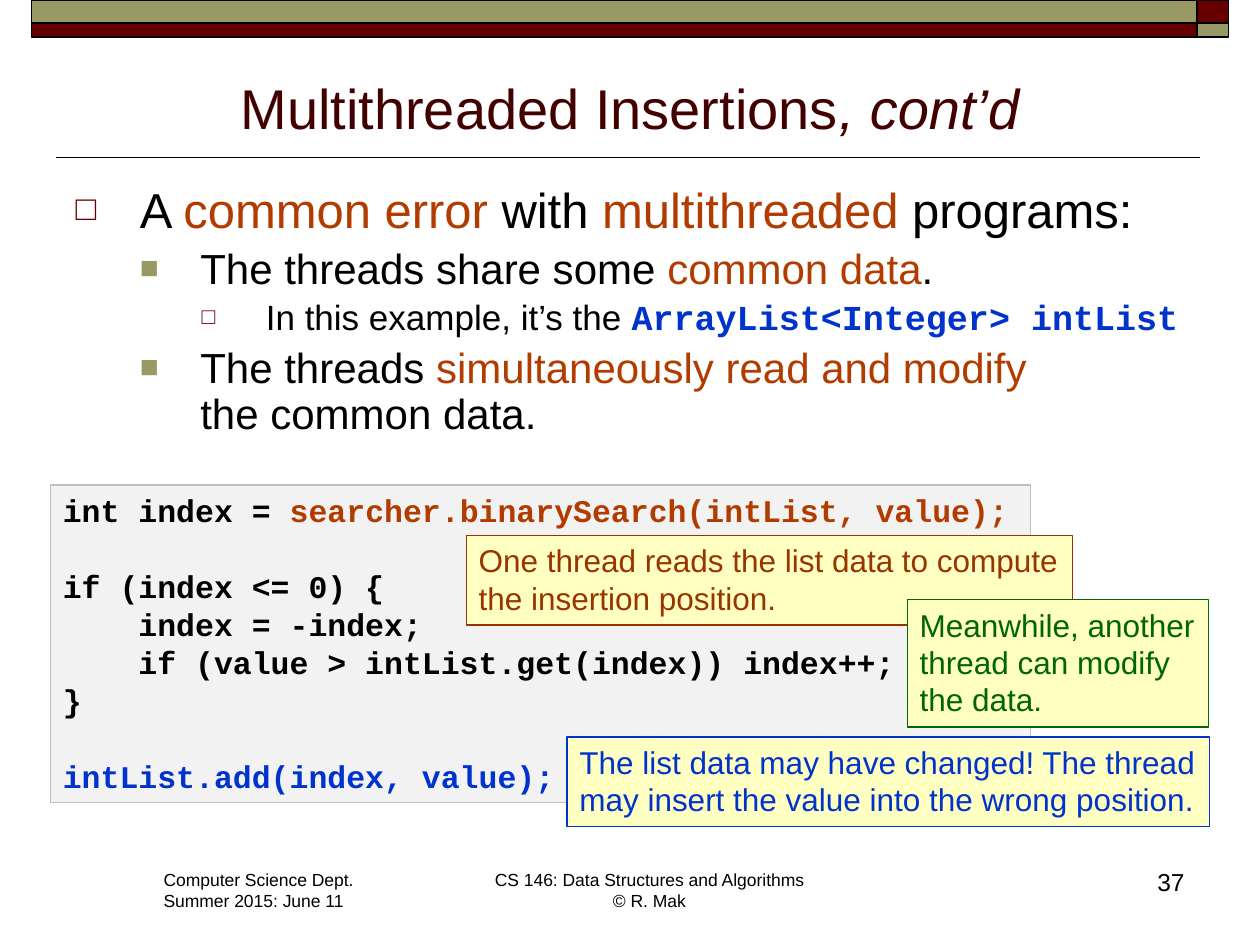
from dataclasses import dataclass
from lxml import etree
from pptx import Presentation
from pptx.dml.color import RGBColor
from pptx.enum.shapes import MSO_CONNECTOR, MSO_SHAPE
from pptx.enum.text import MSO_ANCHOR, MSO_AUTO_SIZE, PP_ALIGN
from pptx.oxml.ns import qn
from pptx.util import Pt

RECT = MSO_SHAPE.RECTANGLE
LINE = MSO_CONNECTOR.STRAIGHT
TOP, BOTTOM = MSO_ANCHOR.TOP, MSO_ANCHOR.BOTTOM
LEFT, CENTER, RIGHT = PP_ALIGN.LEFT, PP_ALIGN.CENTER, PP_ALIGN.RIGHT
FIXED = MSO_AUTO_SIZE.NONE


@dataclass(frozen=True)
class Theme:
    black: str = "000000"
    maroon: str = "660000"
    olive: str = "999966"
    title: str = "420000"
    orange: str = "B23C00"
    blue: str = "0033CC"
    brown: str = "993300"
    green: str = "006600"
    note: str = "FFFFC2"
    panel: str = "F2F2F2"
    edge: str = "BFBFBF"
    sans: str = "Arial"
    mono: str = "Courier New"
    head: int = 32
    levels: tuple = (28, 24, 20)
    label: int = 18
    page: int = 14
    foot: int = 10


look = Theme()
deck = Presentation()
deck.slide_width, deck.slide_height = Pt(720), Pt(540)
slide = deck.slides.add_slide(deck.slide_layouts[1])
shapes = slide.shapes


def add_text(para, text, size, color=look.black, face=look.sans, bold=False, slant=False):
    for row, part in enumerate(text.split("\n")):
        if row:
            para.add_line_break()
        if part:
            run = para.add_run()
            run.text = part
            font = run.font
            font.size, font.name, font.bold, font.italic = Pt(size), face, bold, slant
            font.color.rgb = RGBColor.from_string(color)


def add_box(place, fill, edge, width):
    box = shapes.add_shape(RECT, *map(Pt, place))
    box.shadow.inherit = False
    box.fill.solid()
    box.fill.fore_color.rgb = RGBColor.from_string(fill)
    box.line.color.rgb = RGBColor.from_string(edge)
    box.line.width = Pt(width)
    box.text_frame.word_wrap = False
    box.text_frame.vertical_anchor = TOP
    return box


rule = shapes.add_connector(LINE, Pt(32), Pt(90), Pt(686), Pt(90))
rule.line.color.rgb = RGBColor.from_string(look.black)
rule.line.width = Pt(1)
etree.SubElement(rule._element.spPr, qn("a:effectLst"))

for left, width, fills in [(18, 666, (look.olive, look.maroon)),
                           (684, 18, (look.maroon, look.olive))]:
    for top, height, fill in zip((0, 13), (13, 8), fills):
        add_box((left, top, width, height), fill, look.black, 1)

footers = [
    ((86.4, 493.2, 124.6, 31.7), "Computer Science Dept.\nSummer 2015: June 11", look.foot, LEFT),
    ((275, 493.2, 192.2, 31.7), "CS 146: Data Structures and Algorithms\n© R. Mak", look.foot, CENTER),
    ((534.2, 491.8, 149.8, 36), "37", look.page, RIGHT),
]
for place, text, size, align in footers:
    frame = shapes.add_textbox(*map(Pt, place)).text_frame
    frame.word_wrap = align == RIGHT
    para = frame.paragraphs[0]
    para.alignment = align
    para.line_spacing = Pt(size * 1.2)
    add_text(para, text, size)

title = shapes.title
title.left, title.top, title.width, title.height = map(Pt, (36, 32.4, 648, 51.8))
title.text_frame.auto_size = FIXED
title.text_frame.vertical_anchor = BOTTOM
para = title.text_frame.paragraphs[0]
para.alignment = CENTER
add_text(para, "Multithreaded Insertions", look.head, look.title)
add_text(para, ", cont’d", look.head, look.title, slant=True)

body = slide.placeholders[1]
body.left, body.top, body.width, body.height = map(Pt, (36, 102.2, 648, 153.4))
frame = body.text_frame
frame.auto_size = FIXED
frame.vertical_anchor = TOP
marks = [
    (36.7, 36.7, "□", look.maroon, 70),
    (71.3, 34.6, "■", look.olive, 75),
    (108.7, 36.7, "□", look.maroon, 65),
]
points = [
    (0, [("A ",), ("common error ", look.orange), ("with ",),
         ("multithreaded ", look.orange), ("programs:",)]),
    (1, [("The threads share some ",), ("common data", look.orange), (".",)]),
    (2, [("In this example, it’s the ",),
         ("ArrayList<Integer> intList", look.blue, look.mono, True)]),
    (1, [("The threads ",), ("simultaneously read and modify \n", look.orange),
         ("the common data.",)]),
]
for row, (level, runs) in enumerate(points):
    para = frame.add_paragraph() if row else frame.paragraphs[0]
    size = look.levels[level]
    margin, hang, mark, color, scale = marks[level]
    para.level = level
    para.line_spacing = Pt(round(size * 1.09, 1))
    para.space_before = Pt(size * 0.2)
    props = para._p.get_or_add_pPr()
    props.set("marL", str(Pt(margin)))
    props.set("indent", str(-Pt(hang)))
    tint = etree.SubElement(props, qn("a:buClr"))
    etree.SubElement(tint, qn("a:srgbClr"), val=color)
    etree.SubElement(props, qn("a:buSzPct"), val=str(scale * 1000))
    etree.SubElement(props, qn("a:buFont"), typeface=look.sans)
    etree.SubElement(props, qn("a:buChar"), char=mark)
    for run in runs:
        add_text(para, run[0], size, *run[1:])

code = [
    (0, [("int index = ", look.black), ("searcher.binarySearch(intList, value);", look.orange)]),
    (1, [("if (index <= 0) {", look.black)]),
    (0, [("    index = -index;", look.black)]),
    (0, [("    if (value > intList.get(index)) index++;", look.black)]),
    (0, [("}", look.black)]),
    (1, [("intList.add(index, value);", look.blue)]),
]
notes = [
    ((266.4, 306, 346.3, 51.1), look.brown,
     ["One thread reads the list data to compute", "the insertion position."]),
    ((518.4, 342.7, 172.1, 72.7), look.green,
     ["Meanwhile, another", "thread can modify", "the data."]),
    ((324, 421.2, 367.2, 51.1), look.blue,
     ["The list data may have changed! The thread",
      "may insert the value into the wrong position."]),
]
panels = [((28.8, 277.2, 560.2, 181.4), look.panel, look.edge, look.mono, 21.7, code)]
for place, color, lines in notes:
    rows = [(0, [(text, color)]) for text in lines]
    panels.append((place, look.note, color, look.sans, 21.4, rows))

for place, fill, edge, face, pitch, rows in panels:
    frame = add_box(place, fill, edge, 0.75).text_frame
    for row, (gap, runs) in enumerate(rows):
        para = frame.add_paragraph() if row else frame.paragraphs[0]
        para.alignment = LEFT
        para.line_spacing = Pt(pitch)
        para.space_before = Pt(gap * pitch)
        for text, color in runs:
            add_text(para, text, look.label, color, face, face == look.mono)

deck.save("out.pptx")
